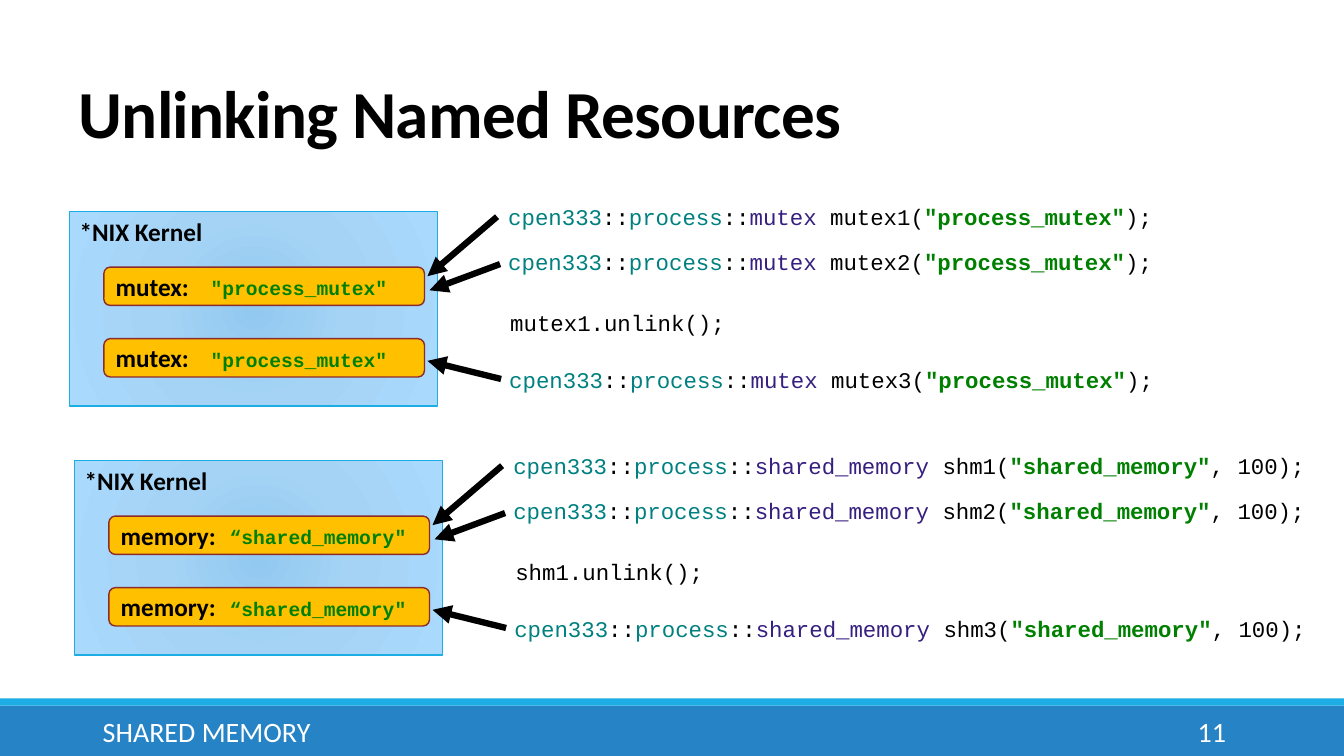
from lxml import etree
from pptx import Presentation
from pptx.dml.color import RGBColor
from pptx.enum.shapes import MSO_CONNECTOR as Connector, MSO_SHAPE as Shape
from pptx.enum.text import MSO_ANCHOR as Anchor, MSO_AUTO_SIZE as AutoSize, PP_ALIGN as Align
from pptx.oxml import parse_xml
from pptx.oxml.ns import nsdecls, qn
from pptx.util import Inches, Pt

COLORS = {
    "text": "000000", "white": "FFFFFF", "footer": "2683C6", "accent": "1CADE4",
    "resource": "FFC000", "resource_line": "8D2B2B",
    "namespace": "008080", "type": "371F80", "string": "008000",
}
KERNEL_STOPS = [(0, "92C9F0"), (45, "A4D3F5"), (100, "A9D9FD")]
BODY_FONT, CODE_FONT = "Calibri", "Courier New"
CODE_ROWS = [(4.12, -0.13), (4.12, 0.31), (4.14, 0.92), (4.13, 1.48)]
ARROWS = [((4.24, 0.05), (3.55, 0.64)), ((4.27, 0.52), (3.57, 0.78)), ((4.28, 1.66), (3.55, 1.48))]
RESOURCE_TOPS = [0.55, 1.26]


def rgb(name):
    return RGBColor.from_string(COLORS[name])


def write_runs(paragraph, pieces, size, font=BODY_FONT):
    for text, color, bold in pieces:
        run = paragraph.add_run()
        run.text = text
        run.font.name = font
        run.font.size = Pt(size)
        run.font.bold = bold
        run.font.color.rgb = rgb(color)


def add_text(slide, box, pieces, size, font=BODY_FONT, anchor=Anchor.TOP, align=Align.LEFT, wrap=True):
    frame = slide.shapes.add_textbox(*map(Inches, box)).text_frame
    frame.word_wrap = wrap
    frame.vertical_anchor = anchor
    frame.paragraphs[0].alignment = align
    write_runs(frame.paragraphs[0], pieces, size, font)


def add_block(slide, kind, box, fill, line=None):
    block = slide.shapes.add_shape(kind, *map(Inches, box))
    block.shadow.inherit = False
    block.fill.solid()
    block.fill.fore_color.rgb = rgb(fill)
    if line:
        block.line.color.rgb = rgb(line)
        block.line.width = Pt(1)
    else:
        block.line.fill.background()
    return block


def label_block(block, text, anchor):
    frame = block.text_frame
    frame.vertical_anchor = anchor
    frame.paragraphs[0].alignment = Align.LEFT
    write_runs(frame.paragraphs[0], [(text, "text", True)], 18)


def apply_radial_fill(block):
    stops = "".join(
        f'<a:gs pos="{position * 1000}"><a:srgbClr val="{color}"/></a:gs>'
        for position, color in KERNEL_STOPS
    )
    gradient = parse_xml(
        f'<a:gradFill {nsdecls("a")} rotWithShape="1"><a:gsLst>{stops}</a:gsLst>'
        '<a:path path="circle"><a:fillToRect l="50000" t="50000" r="50000" b="50000"/></a:path>'
        "</a:gradFill>"
    )
    properties = block.element.spPr
    properties.replace(properties.find(qn("a:solidFill")), gradient)


def add_arrow(slide, start, end):
    arrow = slide.shapes.add_connector(Connector.STRAIGHT, *map(Inches, (*start, *end)))
    arrow.line.color.rgb = rgb("text")
    arrow.line.width = Pt(4.5)
    properties = arrow.element.spPr
    etree.SubElement(properties.find(qn("a:ln")), qn("a:tailEnd"), type="triangle")
    etree.SubElement(properties, qn("a:effectLst"))


def add_title(slide, box, text):
    title = slide.shapes.title
    title.left, title.top, title.width, title.height = map(Inches, box)
    frame = title.text_frame
    frame.auto_size = AutoSize.NONE
    frame.word_wrap = True
    frame.vertical_anchor = Anchor.BOTTOM
    paragraph = frame.paragraphs[0]
    paragraph.alignment = Align.LEFT
    paragraph.line_spacing = 0.85
    write_runs(paragraph, [(text, "text", True)], 48)
    paragraph.runs[0].font._element.set("spc", "-50")


def add_footer(slide, box, section, number):
    left, top, width, height = box
    add_block(slide, Shape.RECTANGLE, (left, top + 0.07, width, height - 0.07), "footer")
    add_block(slide, Shape.RECTANGLE, (left, top, width, 0.07), "accent")
    for offset, text_width, text, align in [
        (0.92, 8.39, section, Align.LEFT),
        (10.83, 1.43, number, Align.RIGHT),
    ]:
        add_text(slide, (left + offset, top + 0.13, text_width, 0.4), [(text, "white", False)],
                 20, anchor=Anchor.MIDDLE, align=align)


def declaration(type_name, variable, string, ending):
    return [
        (" cpen333", "namespace", False), ("::", "text", False),
        ("process", "namespace", False), ("::", "text", False),
        (f"{type_name} ", "type", False), (f"{variable}(", "text", False),
        (string, "string", True), (ending, "text", False),
    ]


def add_kernel_panel(slide, box, label, name, name_offset, code_lines, code_width):
    left, top, width, height = box
    kernel = add_block(slide, Shape.RECTANGLE, box, "accent", "accent")
    apply_radial_fill(kernel)
    label_block(kernel, "*NIX Kernel", Anchor.TOP)
    for offset in RESOURCE_TOPS:
        resource = add_block(slide, Shape.ROUNDED_RECTANGLE, (left + 0.34, top + offset, 3.18, 0.38),
                             "resource", "resource_line")
        label_block(resource, label, Anchor.MIDDLE)
        add_text(slide, (left + name_offset, top + offset + 0.04, 1.96, 0.34),
                 [(name, "string", True)], 14, CODE_FONT, wrap=False)
    for (x, y), pieces in zip(CODE_ROWS, code_lines):
        add_text(slide, (left + x, top + y, code_width, 0.37), pieces, 16, CODE_FONT)
    for start, end in ARROWS:
        add_arrow(slide, (left + start[0], top + start[1]), (left + end[0], top + end[1]))


def code_sequence(type_name, variable, string, ending):
    first, second, third = [
        declaration(type_name, f"{variable}{index}", string, ending) for index in (1, 2, 3)
    ]
    return [first, second, [(f" {variable}1.unlink();", "text", False)], third]


def main():
    presentation = Presentation()
    presentation.slide_width, presentation.slide_height = Inches(13.33), Inches(7.5)
    slide = presentation.slides.add_slide(presentation.slide_layouts[5])
    add_footer(slide, (0, 6.93, 13.33, 0.57), "SHARED MEMORY", "11")
    add_title(slide, (0.68, 0.71, 11, 0.85), "Unlinking Named Resources")
    add_kernel_panel(slide, (0.69, 2.1, 3.65, 1.93), "mutex:", '"process_mutex"', 1.3,
                     code_sequence("mutex", "mutex", '"process_mutex"', ");"), 7.1)
    add_kernel_panel(slide, (0.74, 4.57, 3.65, 1.93), "memory:", '“shared_memory"', 1.44,
                     code_sequence("shared_memory", "shm", '"shared_memory"', ", 100);"), 8.31)
    presentation.save("out.pptx")


if __name__ == "__main__":
    main()
